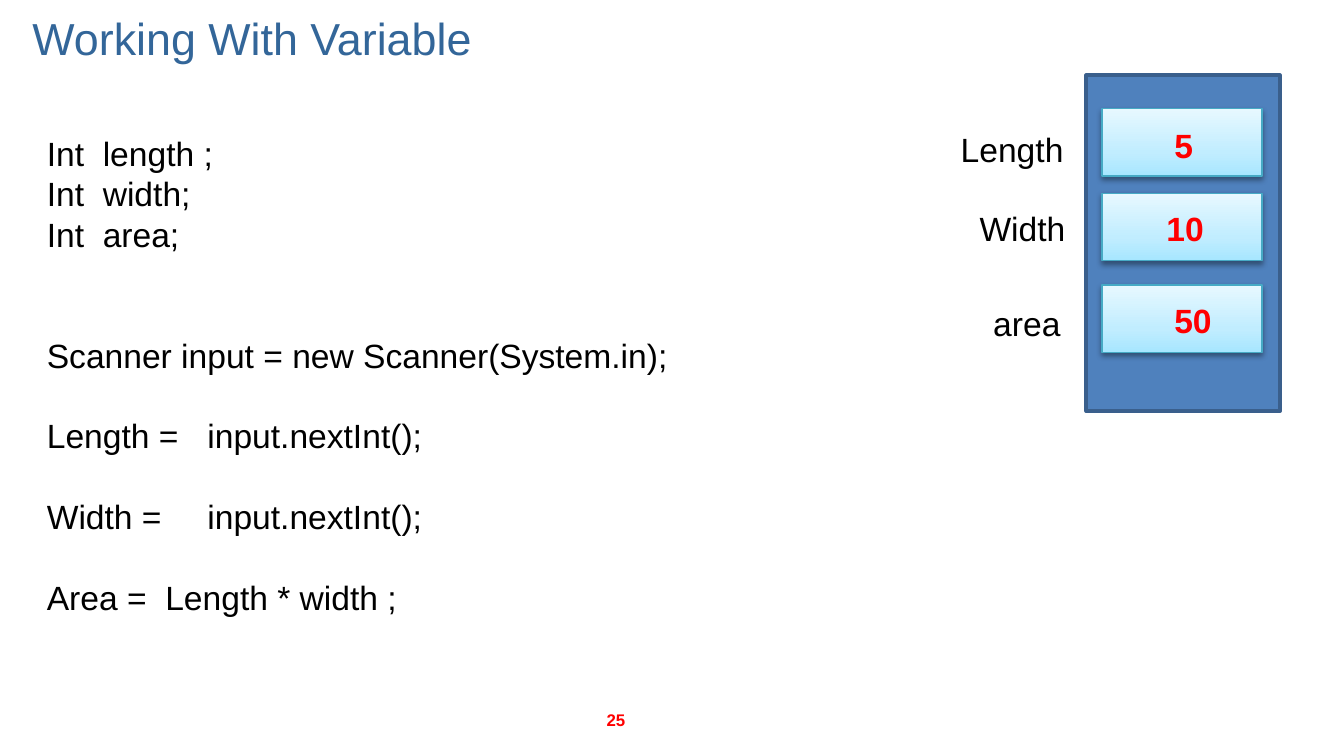
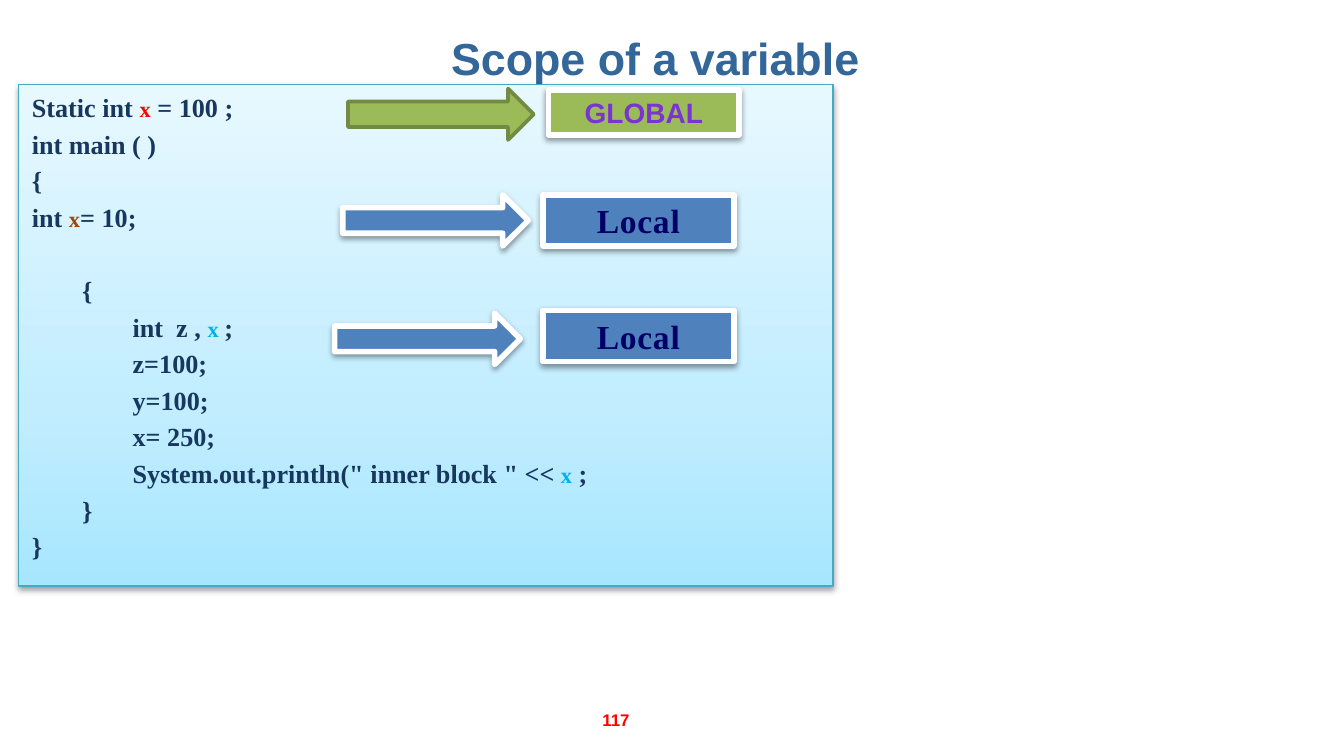
from dataclasses import dataclass
from lxml.etree import SubElement as Sub
from pptx import Presentation as Deck
from pptx.dml.color import RGBColor as Rgb
from pptx.enum.shapes import MSO_SHAPE as Kind
from pptx.enum.text import MSO_ANCHOR as Anchor, PP_ALIGN as Align
from pptx.oxml.ns import qn
from pptx.util import Pt


@dataclass(frozen=True)
class Theme:
    sans: str = "Arial"
    serif: str = "Times New Roman"
    head: str = "336699"
    black: str = "000000"
    white: str = "FFFFFF"
    red: str = "FF0000"
    brown: str = "984807"
    cyan: str = "00B0F0"
    navy: str = "17375E"
    ink: str = "000066"
    violet: str = "7B34D2"
    blue: str = "4F81BD"
    edge: str = "3A5F8C"
    green: str = "9BBB59"
    moss: str = "738A42"
    teal: str = "46AAC5"
    glow: tuple = ((0, "A7E6FF"), (35, "C1EDFF"), (100, "E7F8FF"))
    big: float = 24
    body: float = 18
    tag: float = 15
    code: float = 14
    small: float = 12
    foot: float = 9
    lead: float = 1.2


T = Theme()
SLIM = (5, 3, 5, 3)
WIDE = (7.2, 3.6, 7.2, 3.6)


# Text

def write(par, text, size=T.body, color=T.black, font=T.sans, bold=False,
          track=0):
    run = par.add_run()
    run.text = text
    face = run.font
    face.size, face.name, face.bold = Pt(size), font, bold
    face.color.rgb = Rgb.from_string(color)
    if track:
        run._r.get_or_add_rPr().set("spc", str(round(track * 100)))


def frame(shape, anchor=Anchor.TOP, pad=WIDE, wrap=True):
    box = shape.text_frame
    box.word_wrap, box.vertical_anchor = wrap, anchor
    (box.margin_left, box.margin_top,
     box.margin_right, box.margin_bottom) = map(Pt, pad)
    return box


def space(par, size, lines=1, before=0):
    par.line_spacing = Pt(size * T.lead * lines)
    par.space_before = Pt(before)


def label(slide, text, area, wrap=True, **form):
    box = frame(slide.shapes.add_textbox(*map(Pt, area)), wrap=wrap)
    par = box.paragraphs[0]
    space(par, T.body)
    write(par, text, **form)


# Shapes

def glow(shape):
    """Fill a shape with the pale gradient, light at the top."""
    props = shape._element.spPr
    grad = props.makeelement(qn("a:gradFill"), {"rotWithShape": "1"})
    stops = Sub(grad, qn("a:gsLst"))
    for pos, color in T.glow:
        stop = Sub(stops, qn("a:gs"), pos=str(pos * 1000))
        Sub(stop, qn("a:srgbClr"), val=color)
    Sub(grad, qn("a:lin"), ang=str(270 * 60000), scaled="0")
    props.find(qn("a:prstGeom")).addnext(grad)


def shade(shape):
    """Drop a soft shadow straight down."""
    fx = shape._element.spPr.find(qn("a:effectLst"))
    drop = Sub(fx, qn("a:outerShdw"), blurRad=str(Pt(3.1)), dist=str(Pt(1.6)),
               dir=str(90 * 60000), rotWithShape="0")
    tone = Sub(drop, qn("a:srgbClr"), val=T.black)
    Sub(tone, qn("a:alpha"), val="38000")


def block(slide, area, fill=None, line=T.white, width=3, kind=Kind.RECTANGLE,
          shadow=True):
    shape = slide.shapes.add_shape(kind, *map(Pt, area))
    shape.shadow.inherit = False
    if fill:
        shape.fill.solid()
        shape.fill.fore_color.rgb = Rgb.from_string(fill)
    else:
        glow(shape)
    shape.line.color.rgb = Rgb.from_string(line)
    shape.line.width = Pt(width)
    if shadow:
        shade(shape)
    return shape


def pane(slide, area):
    return block(slide, area, line=T.teal, width=0.75)


def badge(slide, text, area, fill, **form):
    box = frame(block(slide, area, fill), Anchor.MIDDLE, SLIM)
    par = box.paragraphs[0]
    par.alignment = Align.CENTER
    write(par, text, bold=True, **form)


# Shared parts of a slide

def start(deck, title, area, number, bold=False, pad=WIDE):
    slide = deck.slides.add_slide(deck.slide_layouts[5])
    foot = slide.shapes.add_textbox(*map(Pt, (246, 375, 168, 21.6)))
    head = slide.shapes.title
    head.left, head.top, head.width, head.height = map(Pt, area)
    for shape, text, form in (
            (head, title, dict(size=T.big, color=T.head, bold=bold)),
            (foot, number, dict(size=T.foot, color=T.red, bold=True))):
        par = frame(shape, Anchor.MIDDLE, pad).paragraphs[0]
        par.alignment = Align.CENTER
        write(par, text, **form)
    return slide


# Slide on variables

def inputs(slide):
    """Code lines: text, line spacing, gap above."""
    rows = [
        ("Int  length ;", 1, 0),
        ("Int  width;", 1, 0),
        ("Int  area;", 1, 0),
        ("Scanner input = new Scanner(System.in);", 2, T.body * T.lead),
        ("Length =\tinput.nextInt();", 2, 0),
        ("Width =\tinput.nextInt();", 2, 0),
        ("Area =  Length * width ;", 2, 0),
    ]
    box = frame(slide.shapes.add_textbox(*map(Pt, (18, 67.7, 466, 269))))
    for num, (text, lines, gap) in enumerate(rows):
        par = box.add_paragraph() if num else box.paragraphs[0]
        space(par, T.body, lines, gap)
        if "\t" in text:
            tabs = Sub(par._p.get_or_add_pPr(), qn("a:tabLst"))
            Sub(tabs, qn("a:tab"), pos=str(Pt(86)), algn="l")
        write(par, text)


def memory(slide):
    """Storage column with one named cell per variable."""
    block(slide, (582, 40.3, 103.7, 180), T.blue, T.edge, 2, shadow=False)
    cells = [
        (58.3, "Length", (507.6, 65.5, 77, 29), "5", (622, 63.4, 24.5, 29)),
        (103.7, "Width", (517.7, 108, 69, 29), "10", (617.8, 108, 34.5, 29)),
        (152.8, "area", (525, 159, 57, 29), "50", (622, 157, 34.5, 29)),
    ]
    for top, name, spot, value, place in cells:
        pane(slide, (590.4, top, 85.7, 36))
        label(slide, name, spot)
        label(slide, value, place, wrap=False, color=T.red, bold=True)


# Slide on scope

def source(slide):
    """Code panel: each row is a depth, blank lines above, and its runs."""
    x_red, x_brown, x_cyan = (("x", c) for c in (T.red, T.brown, T.cyan))
    rows = [
        (0, 0, ["Static int ", x_red, " = 100 ;"]),
        (0, 0, ["int main ( )"]),
        (0, 0, ["{"]),
        (0, 0, ["int ", x_brown, "= 10;"]),
        (1, 1, ["{"]),
        (2, 0, ["int  z , ", ("x ", T.cyan), ";"]),
        (2, 0, ["z=100;"]),
        (2, 0, ["y=100;"]),
        (2, 0, ["x= 250;"]),
        (2, 0, ['System.out.println(" inner block " <<', (" ", T.red),
                x_cyan, " ;"]),
        (1, 0, ["}"]),
        (0, 0, ["}"]),
    ]
    box = frame(pane(slide, (10, 45.4, 436.3, 268.6)))
    gap = T.code * 0.2
    pitch = T.code * T.lead + gap
    for num, (depth, blank, runs) in enumerate(rows):
        par = box.add_paragraph() if num else box.paragraphs[0]
        par.level, par.alignment = depth, Align.LEFT
        space(par, T.code, before=gap + blank * pitch if num else 0)
        props = par._p.get_or_add_pPr()
        props.set("marL", str(Pt(17 + 27 * depth)))
        props.set("indent", str(Pt(-17)))
        for run in runs:
            if isinstance(run, str):
                text, color, size = run, T.navy, T.code
            else:
                (text, color), size = run, T.small
            write(par, text, size, color, T.serif, True)


def scopes(slide):
    """Arrow and badge for each kind of variable."""
    glob = dict(size=T.tag, color=T.violet)
    loc = dict(color=T.ink, font=T.serif, track=0.4)
    marks = [
        ("GLOBAL", (186.5, 47.5), (293.8, 48.2), 24, T.green, T.moss, glob),
        ("Local", (183.6, 104.4), (290.9, 104.4), 27.4, T.blue, T.white, loc),
        ("Local", (179.3, 167.8), (290.9, 166.3), 27.4, T.blue, T.white, loc),
    ]
    for text, tail, spot, high, fill, line, form in marks:
        plain = line != T.white
        block(slide, (*tail, 99.4, 27.4), fill, line, 2 if plain else 3,
              Kind.RIGHT_ARROW, not plain)
        badge(slide, text, (*spot, 102.2, high), fill, **form)


def main():
    deck = Deck()
    deck.slide_width, deck.slide_height = Pt(720), Pt(405)

    slide = start(deck, "Working With Variable", (0, 0, 270, 40.3), "25")
    inputs(slide)
    memory(slide)

    slide = start(deck, "Scope of a variable", (108, 8.6, 486, 44.6), "117",
                  bold=True, pad=SLIM)
    source(slide)
    scopes(slide)

    deck.save("out.pptx")


if __name__ == "__main__":
    main()
